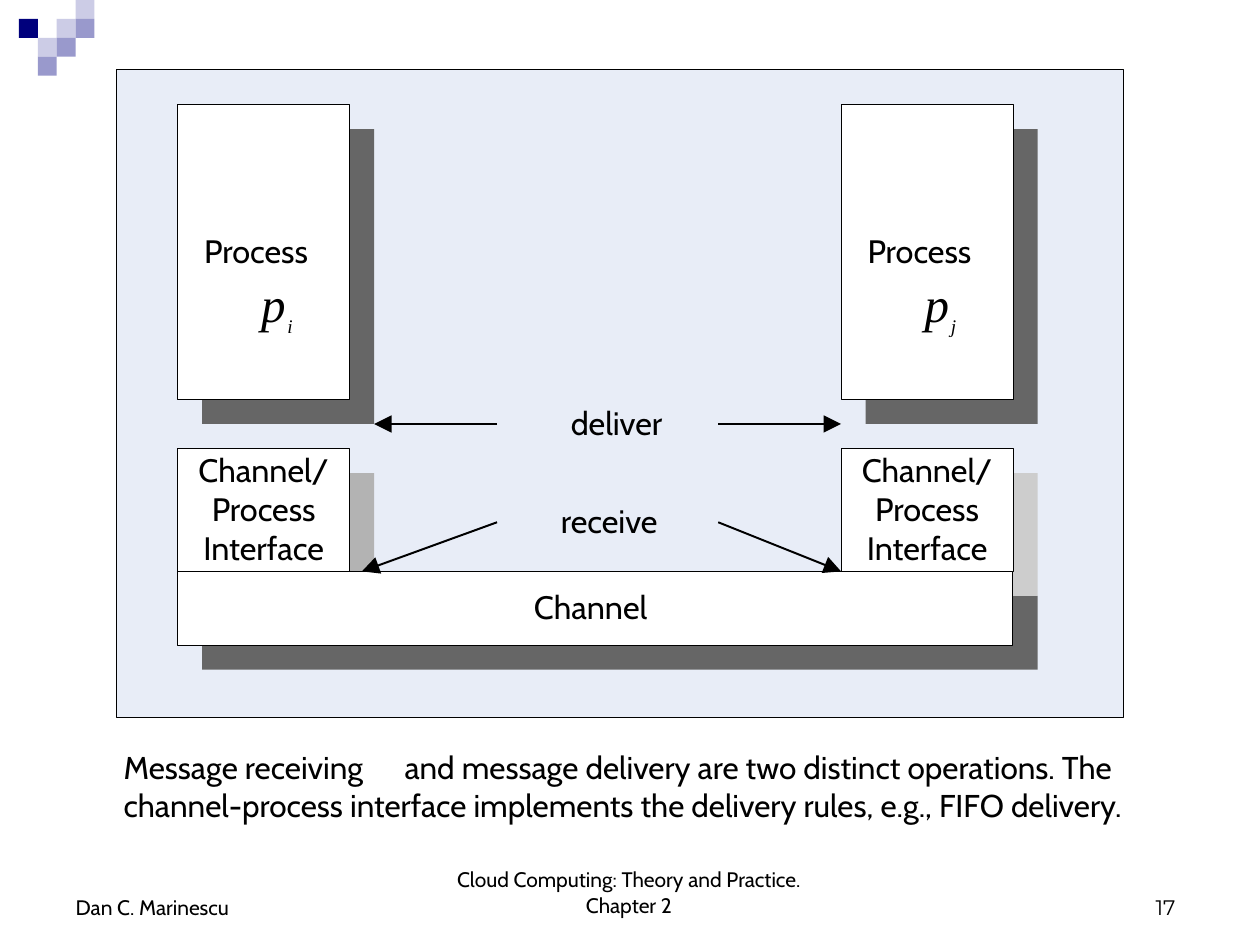
from lxml import etree
from pptx import Presentation, util as u
from pptx.dml.color import RGBColor
from pptx.enum import shapes, text
from pptx.oxml import ns

COLORS = {
    "ink": "000000", "paper": "FFFFFF", "panel": "E8EDF7", "shade": "666666",
    "left_shade": "B3B3B3", "right_shade": "CDCDCD",
    "navy": "00007C", "lilac": "9999CC", "pale": "CCCCE6",
}
LEFT, CENTER = text.PP_ALIGN.LEFT, text.PP_ALIGN.CENTER
RIGHT_STACK = 27  # first column of the right-hand process


class Slide:
    """Style and current slide; lengths are columns and rows of the active grid."""

    def __init__(self, prs):
        self.s = prs.slides.add_slide(prs.slide_layouts[5])
        self.font, self.size = "Cabin", 18.5
        self.set_grid(0, 0, 1)

    def set_grid(self, left, top, pitch):
        self.left, self.top, self.pitch = left, top, pitch

    def place(self, x, y):
        return (u.Inches(self.left + x * self.pitch),
                u.Inches(self.top + y * self.pitch))

    def extent(self, w, h):
        return u.Inches(w * self.pitch), u.Inches(h * self.pitch)

    def rect(self, x, y, w, h, fill, line=None):
        sp = self.s.shapes.add_shape(shapes.MSO_SHAPE.RECTANGLE,
                                     *self.place(x, y), *self.extent(w, h))
        sp.shadow.inherit = False
        sp.fill.solid()
        sp.fill.fore_color.rgb = RGBColor.from_string(COLORS[fill])
        if line:
            sp.line.color.rgb = RGBColor.from_string(COLORS[line])
            sp.line.width = u.Pt(0.5)
        else:
            sp.line.fill.background()

    def block(self, x, y, w, h, shade="shade"):
        """White box over a shadow one cell to the right and below."""
        self.rect(x + 1, y + 1, w, h, shade)
        self.rect(x, y, w, h, "paper", "ink")

    def arrow(self, x1, y1, x2, y2):
        c = self.s.shapes.add_connector(shapes.MSO_CONNECTOR.STRAIGHT,
                                        *self.place(x1, y1), *self.place(x2, y2))
        c.line.color.rgb = RGBColor.from_string(COLORS["ink"])
        c.line.width = u.Pt(1.12)
        etree.SubElement(c._element.spPr.get_or_add_ln(), ns.qn("a:tailEnd"),
                         type="triangle", w="lg", len="lg")
        etree.SubElement(c._element.spPr, ns.qn("a:effectLst"))

    def label(self, words, x, y, w, h, size=None, font=None, italic=False, align=LEFT):
        sp = self.s.shapes.add_textbox(*self.place(x, y), *self.extent(w, h))
        return self.set_text(sp, words, size, font, italic, align)

    def title(self, words, x, y, w, h):
        sp = self.s.shapes.title
        (sp.left, sp.top), (sp.width, sp.height) = self.place(x, y), self.extent(w, h)
        self.s.shapes._spTree.append(sp._element)  # bring to front
        return self.set_text(sp, words)

    def set_text(self, sp, words, size=None, font=None, italic=False, align=LEFT):
        tf = sp.text_frame
        tf.text = words
        tf.word_wrap = True
        tf.auto_size = text.MSO_AUTO_SIZE.NONE
        tf.vertical_anchor = text.MSO_ANCHOR.TOP
        tf.margin_left = tf.margin_right = tf.margin_bottom = 0
        tf.margin_top = u.Inches(0.03)
        for p in tf.paragraphs:
            p.alignment = align
            p.space_before = u.Pt(0)
            for r in p.runs:
                r.font.size = u.Pt(size or self.size)
                r.font.name = font or self.font
                r.font.italic = italic
                r.font.color.rgb = RGBColor.from_string(COLORS["ink"])
        return tf


def add_tab_stop(p, inches):
    tabs = etree.SubElement(p._p.get_or_add_pPr(), ns.qn("a:tabLst"))
    etree.SubElement(tabs, ns.qn("a:tab"), pos=str(u.Inches(inches)), algn="l")


def main():
    prs = Presentation()
    prs.slide_width, prs.slide_height = u.Inches(10), u.Inches(7.5)
    s = Slide(prs)

    # Corner ornament
    s.set_grid(0.15, 0, 0.15)
    for col, row, fill in [(0, 1, "navy"), (1, 2, "pale"), (2, 1, "pale"),
                           (3, 0, "pale"), (1, 3, "lilac"), (2, 2, "lilac"),
                           (3, 1, "lilac")]:
        s.rect(col, row, 1, 1, fill)

    # Diagram: two process stacks on a shared channel
    s.set_grid(1.41, 0.83, 0.195)
    s.rect(-2.5, -1.44, 41, 26.4, "panel", "ink")
    s.block(0, 0, 7, 12)
    s.block(RIGHT_STACK, 0, 7, 12)
    s.rect(1, 20, 34, 3, "shade")
    s.block(0, 14, 7, 5, "left_shade")
    s.block(RIGHT_STACK, 14, 7, 5, "right_shade")
    s.rect(0, 19, 34, 3, "paper", "ink")

    s.title("Process", 1.08, 5, 5.5, 1.8)
    s.label("Process", RIGHT_STACK + 1.08, 5, 5.5, 1.8)
    for col, index in [(0, "i"), (RIGHT_STACK, "j")]:
        s.label("p", col + 3.4, 6.72, 1.2, 2.6, 28, "Times New Roman", True)
        s.label(index, col + 4.47, 8.4, 0.6, 1.1, 11, "Times New Roman", True)
        s.label("Channel/\nProcess\nInterface", col, 13.9, 7, 5, align=CENTER)

    s.label("Channel", 14.5, 19.5, 6, 1.8)
    s.label("deliver", 16, 12, 5, 1.8)
    s.label("receive", 15.6, 16, 5, 1.8)
    for ends in [(13, 13, 8, 13), (22, 13, RIGHT_STACK, 13),
                 (13, 17, 7.5, 19), (22, 17, RIGHT_STACK, 19)]:
        s.arrow(*ends)

    # Caption and footer
    tf = s.label("Message receiving\tand message delivery are two distinct operations. The\n"
                 "channel-process interface implements the delivery rules, "
                 "e.g., FIFO delivery.", -2.2, 26.05, 43.3, 3.3, 18)
    add_tab_stop(tf.paragraphs[0], 2.23)
    s.label("Cloud Computing: Theory and Practice.\nChapter 2",
            10.87, 30.87, 15, 2.3, 12, align=CENTER)
    s.label("Dan C. Marinescu", -4.15, 32, 8, 1.2, 12)
    s.label("17", 39.8, 32, 2, 1.2, 12, "Montserrat")

    prs.save("out.pptx")


if __name__ == "__main__":
    main()
